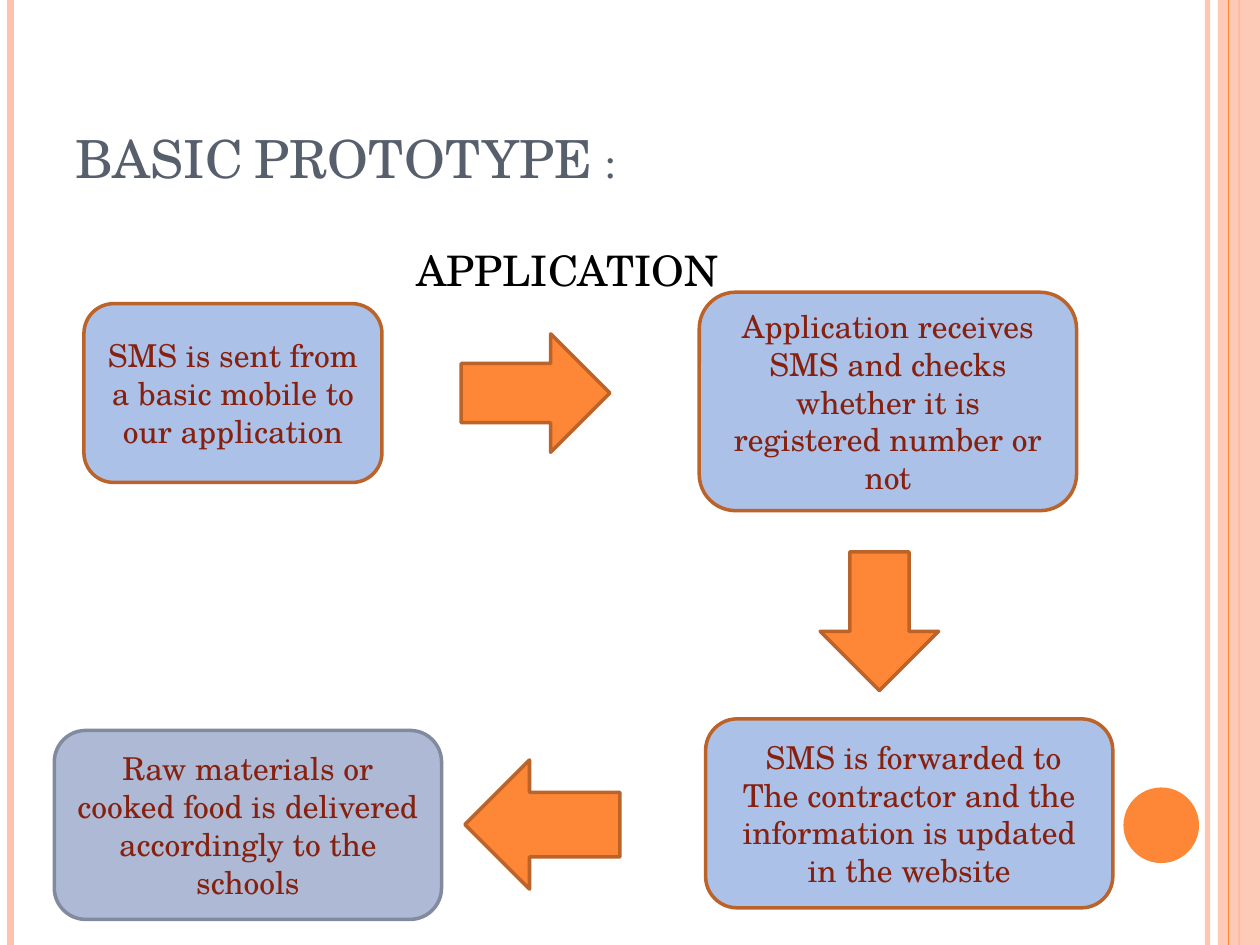
from pptx import Presentation
from pptx.dml.color import RGBColor
from pptx.enum.shapes import MSO_CONNECTOR, MSO_SHAPE as SHAPE
from pptx.enum.text import MSO_ANCHOR as ANCHOR, PP_ALIGN as ALIGN
from pptx.oxml.ns import qn
from pptx.util import Pt
from lxml.etree import SubElement

WIDTH, HEIGHT = 720, 540
ORANGE, PEACH, RUST = "FE8637", "FEC3AE", "BC6329"
BLUE, GREY_BLUE, SLATE = "ACC1E8", "AEBAD5", "818A9E"
FONT, MAROON, TITLE, BLACK = "TeX Gyre Schola", "862110", "575F6D", "000000"


def rgb(color):
    return RGBColor.from_string(color)


class Deck:
    """Draws styled elements on the current slide, measured in points."""

    def __init__(self, slide):
        self.shapes = slide.shapes

    def paint(self, fill, color, opacity=100):
        fill.solid()
        fill.fore_color.rgb = rgb(color)
        if opacity < 100:
            clr = fill._xPr.find(qn("a:solidFill"))[0]
            SubElement(clr, qn("a:alpha"), val=str(opacity * 1000))

    def rule(self, x, color, width, opacity=100):
        line = self.shapes.add_connector(
            MSO_CONNECTOR.STRAIGHT, Pt(x), Pt(0), Pt(x), Pt(HEIGHT))
        line.line.width = Pt(width)
        self.paint(line.line.fill, color, opacity)
        SubElement(line._element.spPr, qn("a:effectLst"))

    def shape(self, kind, box, fill, line=None, opacity=100):
        sp = self.shapes.add_shape(kind, *map(Pt, box))
        sp.shadow.inherit = False
        self.paint(sp.fill, fill, opacity)
        if line:
            sp.line.width = Pt(2)
            self.paint(sp.line.fill, line)
        else:
            sp.line.fill.background()
        return sp

    def set_text(self, sp, text, size, color, align, anchor):
        tf = sp.text_frame
        tf.word_wrap = True
        tf.vertical_anchor = anchor
        p = tf.paragraphs[0]
        p.alignment = align
        r = p.add_run()
        r.text = text
        p.font.name, p.font.size = FONT, Pt(size)
        p.font.color.rgb = rgb(color)
        return p, r

    def step(self, box, text, fill=BLUE, line=RUST):
        sp = self.shape(SHAPE.FLOWCHART_ALTERNATE_PROCESS, box, fill, line)
        self.set_text(sp, text, 18, MAROON, ALIGN.CENTER, ANCHOR.MIDDLE)

    def arrow(self, kind, box):
        self.shape(kind, box, ORANGE, RUST)

    def label(self, box, text, size, color, anchor=ANCHOR.TOP):
        sp = self.shapes.add_textbox(*map(Pt, box))
        return self.set_text(sp, text, size, color, ALIGN.LEFT, anchor)


def main():
    prs = Presentation()
    prs.slide_width, prs.slide_height = Pt(WIDTH), Pt(HEIGHT)
    s = Deck(prs.slides.add_slide(prs.slide_layouts[6]))

    s.rule(690, PEACH, 3, opacity=93)
    s.rule(6, PEACH, 4.5)
    s.rule(708, ORANGE, 1.5)
    s.shape(SHAPE.RECTANGLE, (696, 0, 24, HEIGHT), PEACH, opacity=87)
    s.rule(702, ORANGE, 0.75)
    s.shape(SHAPE.OVAL, (642, 450, 43.2, 43.2), ORANGE)

    p, r = s.label((36, 21.6, 588, 90), "BASIC PROTOTYPE :", 30, TITLE, ANCHOR.BOTTOM)
    r.font._element.set("cap", "small")
    p, r = s.label((231, 136, 200, 40), "APPLICATION", 24, BLACK)
    p.space_before = Pt(6)

    s.step((48, 173.5, 170.3, 102.2), "SMS is sent from a basic mobile to our application")
    s.arrow(SHAPE.RIGHT_ARROW, (263.5, 190.8, 85, 67.7))
    s.step((399.6, 167, 215.6, 124.8),
           "Application receives SMS and checks whether it is registered number or not")
    s.arrow(SHAPE.DOWN_ARROW, (468.7, 315.4, 67.7, 79.2))
    s.step((403.2, 410.8, 232.7, 108),
           " SMS is forwarded to The contractor and the information is updated in the website")
    s.step((31, 417.4, 221.3, 108),
           "Raw materials or cooked food is delivered accordingly to the schools",
           GREY_BLUE, SLATE)
    s.arrow(SHAPE.LEFT_ARROW, (265.7, 434.3, 88.6, 73.8))
    prs.save("out.pptx")


if __name__ == "__main__":
    main()
